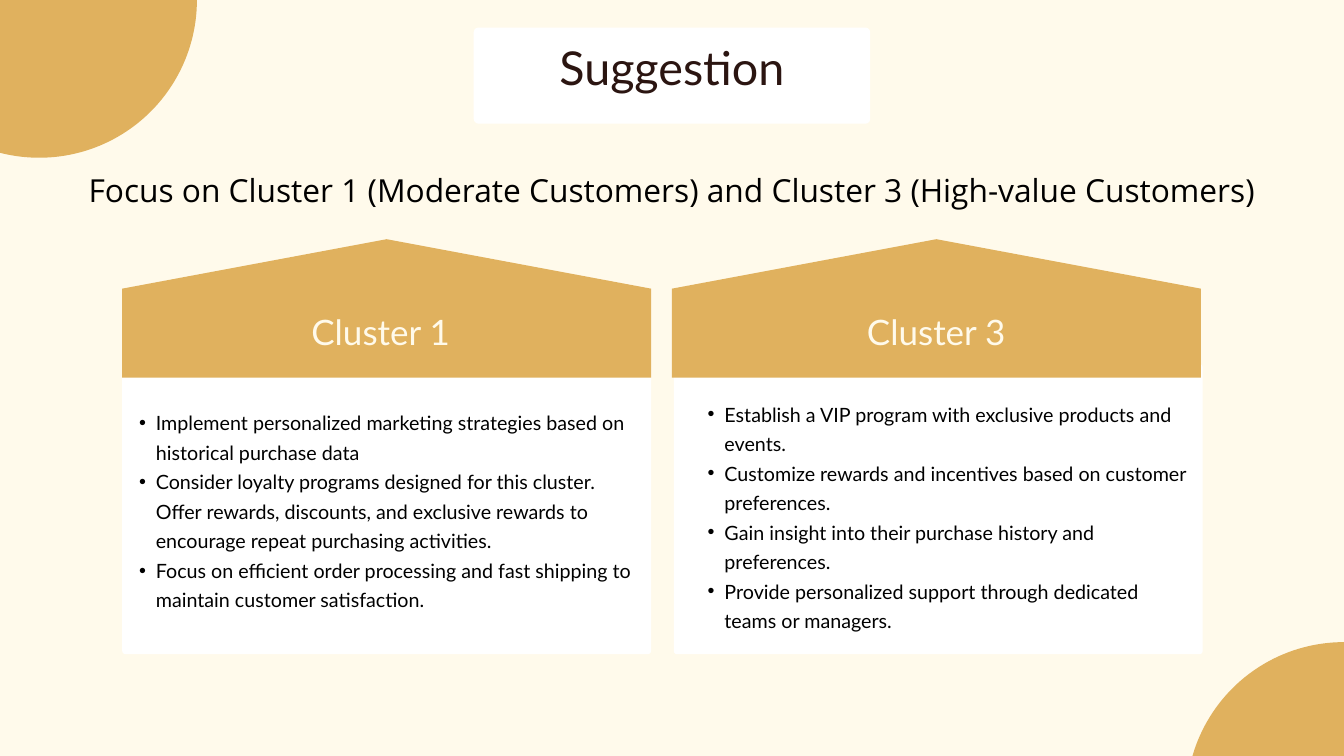
"""Build the slide that suggests actions for two customer clusters."""
import pptx
import pptx.dml.color
import pptx.enum.shapes
import pptx.enum.text
import pptx.oxml.ns
import pptx.util
from lxml import etree

Pt = pptx.util.Pt
RGB = pptx.dml.color.RGBColor
Kind = pptx.enum.shapes.MSO_SHAPE
Align = pptx.enum.text.PP_ALIGN
Anchor = pptx.enum.text.MSO_ANCHOR
qn = pptx.oxml.ns.qn

CREAM = RGB(0xFF, 0xFA, 0xEB)
GOLD = RGB(0xE0, 0xB1, 0x5E)
WHITE = RGB(0xFF, 0xFF, 0xFF)
BROWN = RGB(0x2B, 0x15, 0x11)
BLACK = RGB(0, 0, 0)

ONE = [
    "Implement personalized marketing strategies based on historical purchase data",
    "Consider loyalty programs designed for this cluster. Offer rewards, discounts, "
    "and exclusive rewards to encourage repeat purchasing activities.",
    "Focus on efficient order processing and fast shipping to maintain customer satisfaction.",
]
THREE = [
    "Establish a VIP program with exclusive products and events.",
    "Customize rewards and incentives based on customer preferences.",
    "Gain insight into their purchase history and preferences.",
    "Provide personalized support through dedicated teams or managers.",
]


def apply(obj, vals):
    """Set each named value on the object."""
    for name, val in vals.items():
        setattr(obj, name, val)


class Deck:
    """Hold the style and the current slide."""

    styles = {
        "title": dict(name="Lato", size=Pt(50), color=BROWN, lead=70),
        "lead": dict(name="Open Sans", size=Pt(34), color=BLACK, lead=47.6),
        "head": dict(name="Lato", size=Pt(37.5), color=CREAM, lead=52.5),
        "list": dict(name="Lato", size=Pt(21.1), color=BLACK, lead=31.6),
    }

    def __init__(self):
        """Start a file with one slide."""
        self.prs = pptx.Presentation()
        apply(self.prs, dict(slide_width=Pt(1440), slide_height=Pt(810)))
        self.slide = self.prs.slides.add_slide(self.prs.slide_layouts[3])
        self.shapes = self.slide.shapes
        fill = self.slide.background.fill
        fill.solid()
        fill.fore_color.rgb = CREAM

    def paint(self, shape, color):
        """Give a shape a flat fill."""
        shape.shadow.inherit = False
        shape.fill.solid()
        shape.fill.fore_color.rgb = color
        shape.line.fill.background()

    def card(self, x, y, w, h, curve):
        """Draw a white rounded card."""
        shape = self.shapes.add_shape(Kind.ROUNDED_RECTANGLE, Pt(x), Pt(y), Pt(w), Pt(h))
        shape.adjustments[0] = curve / min(w, h)
        self.paint(shape, WHITE)

    def disc(self, x, y, r):
        """Draw a gold disc about a centre."""
        shape = self.shapes.add_shape(Kind.OVAL, Pt(x - r), Pt(y - r), Pt(2 * r), Pt(2 * r))
        self.paint(shape, GOLD)

    def roof(self, x, y, w, h, rise):
        """Draw a gold band with a peaked top."""
        pen = self.shapes.build_freeform(Pt(x), Pt(y + h))
        spots = [(x, y + rise), (x + w / 2, y), (x + w, y + rise), (x + w, y + h)]
        pen.add_line_segments([(Pt(a), Pt(b)) for a, b in spots], close=True)
        self.paint(pen.convert_to_shape(), GOLD)

    def set_text(self, shape, lines, style, inset=0, anchor=Anchor.TOP, dots=False):
        """Fill a shape with styled lines."""
        look = dict(self.styles[style])
        color, lead = look.pop("color"), look.pop("lead")
        frame = shape.text_frame
        sides = ("margin_left", "margin_top", "margin_right", "margin_bottom")
        apply(frame, dict.fromkeys(sides, Pt(inset)))
        apply(frame, dict(word_wrap=True, vertical_anchor=anchor,
                          auto_size=pptx.enum.text.MSO_AUTO_SIZE.NONE))
        for n, line in enumerate(lines):
            para = frame.add_paragraph() if n else frame.paragraphs[0]
            if dots:
                self.bullet(para)
            apply(para, dict(alignment=Align.LEFT if dots else Align.CENTER,
                             line_spacing=Pt(lead), space_before=Pt(0)))
            run = para.add_run()
            run.text = line
            apply(run.font, look)
            run.font.color.rgb = color

    def bullet(self, para):
        """Hang a round bullet before a paragraph."""
        props = para._p.get_or_add_pPr()
        props.set("marL", str(Pt(36)))
        props.set("indent", str(Pt(-18)))
        etree.SubElement(props, qn("a:buFont")).set("typeface", "Arial")
        etree.SubElement(props, qn("a:buChar")).set("char", "•")

    def label(self, x, y, w, h, line, style):
        """Add a centred line of text."""
        box = self.shapes.add_textbox(Pt(x), Pt(y), Pt(w), Pt(h))
        self.set_text(box, [line], style)

    def holder(self, slot, x, y, w, h, lines, style, **opts):
        """Place and fill a template holder in front."""
        shape = self.slide.placeholders[slot]
        apply(shape, dict(left=Pt(x), top=Pt(y), width=Pt(w), height=Pt(h)))
        self.set_text(shape, lines, style, **opts)
        self.shapes._spTree.append(shape._element)


def main():
    """Draw the slide and save it."""
    deck = Deck()
    deck.card(507.6, 29.5, 424.8, 103, 5)
    deck.holder(0, 507.6, 0.7, 424.8, 131.8, ["Suggestion"], "title",
                inset=17.3, anchor=Anchor.MIDDLE)
    deck.disc(1440, 857, 169)
    deck.disc(42, 0, 169)
    deck.label(59, 176.4, 1322, 45.4,
               "Focus on Cluster 1 (Moderate Customers) and Cluster 3 (High-value Customers)",
               "lead")
    groups = [
        (1, 131, 131, 247.7, "Cluster 1", (131, 434.2, 553.7, 219.6), ONE),
        (2, 720, 722, 843, "Cluster 3", (740.2, 424.8, 531.4, 250.6), THREE),
    ]
    for slot, x, side, left, name, place, lines in groups:
        deck.card(side, 390, 566.6, 311, 3.5)
        deck.roof(x, 256.3, 566.6, 148.3, 53)
        deck.label(left, 325.4, 320.4, 49.7, name, "head")
        deck.holder(slot, *place, lines, "list", dots=True)
    deck.prs.save("out.pptx")


if __name__ == "__main__":
    main()
